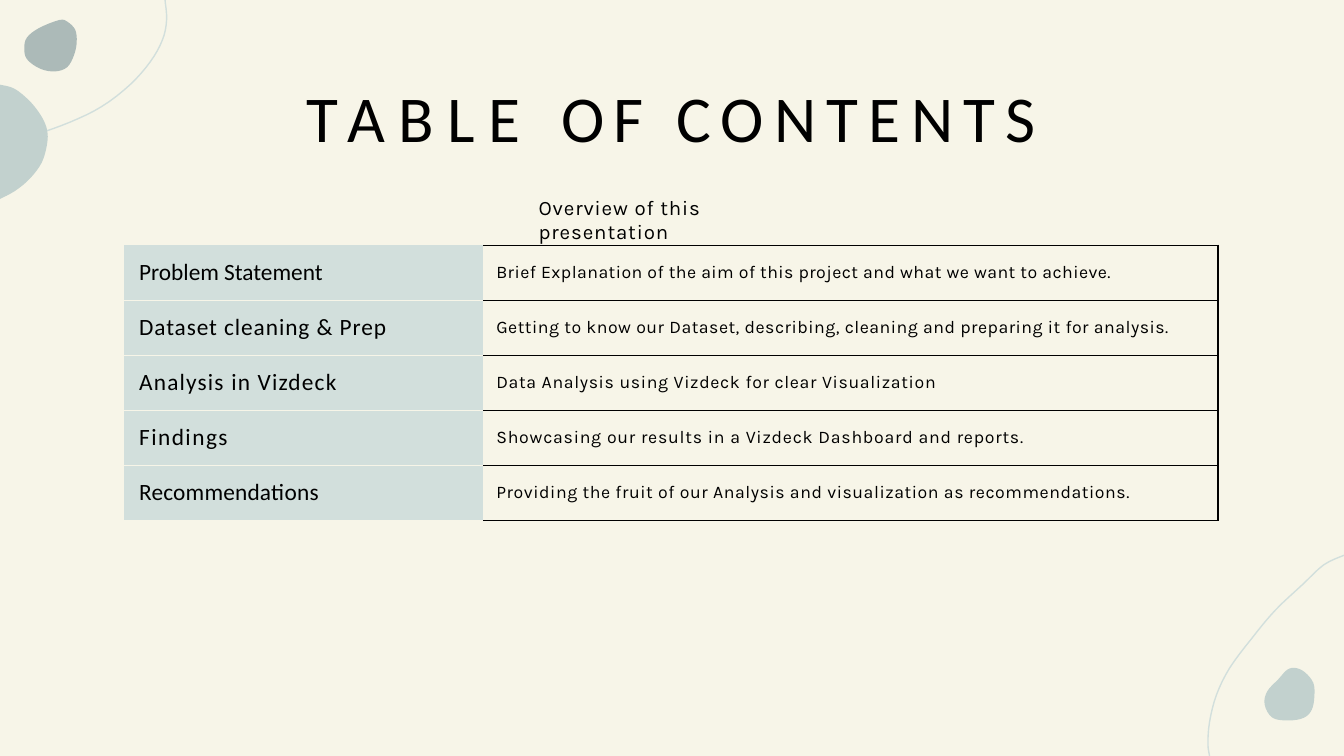
from dataclasses import dataclass

from lxml import etree
from pptx import Presentation
from pptx import util as u
from pptx.dml.color import RGBColor
from pptx.enum import text
from pptx.oxml import ns

CREAM = RGBColor(0xF7, 0xF5, 0xE8)
PALE_SAGE = RGBColor(0xD2, 0xDF, 0xDC)
SAGE = RGBColor(0xC2, 0xD1, 0xCE)
GREY_SAGE = RGBColor(0xAC, 0xBA, 0xB8)
BLACK = RGBColor(0, 0, 0)
HEADING_FONT = "Calibri"
BODY_FONT = "Karla"
NO_STYLE = "{2D5ABB26-0587-4C30-8999-92F81FD0307C}"
CURVE_STEPS = 4

Point = tuple[float, float]


@dataclass
class Blob:
    """A filled outline; a loop is smooth all round, otherwise it closes straight."""
    color: RGBColor
    loop: bool
    points: list[Point]


@dataclass
class Section:
    name: str
    name_spacing: float
    summary: str
    summary_spacing: float


# Decoration, in centimetres
SWEEPS: list[list[Point]] = [
    [(25.4, 10.49), (25.02, 10.67), (24.61, 11.05), (24.1, 11.53), (23.65, 12.07),
     (23.24, 12.62), (22.99, 13.13), (22.86, 13.64), (22.83, 14.05), (22.86, 14.28)],
    [(0, 2.67), (0.66, 2.54), (1.32, 2.31), (1.93, 2.01), (2.46, 1.6),
     (2.84, 1.17), (3.07, 0.76), (3.15, 0.38), (3.12, 0)],
]
BLOBS = [
    Blob(SAGE, True, [
        (24.49, 12.62), (24.33, 12.65), (24.16, 12.83), (23.95, 13.06),
        (23.9, 13.31), (24.05, 13.56), (24.36, 13.61), (24.64, 13.56),
        (24.79, 13.41), (24.84, 13.16), (24.82, 12.9), (24.66, 12.7)]),
    Blob(GREY_SAGE, True, [
        (1.12, 0.38), (0.74, 0.53), (0.51, 0.71), (0.46, 0.91),
        (0.51, 1.12), (0.76, 1.3), (1.04, 1.35), (1.27, 1.27),
        (1.4, 1.04), (1.45, 0.79), (1.42, 0.56), (1.27, 0.41)]),
    Blob(SAGE, False, [
        (0, 1.6), (0.28, 1.68), (0.58, 1.93), (0.79, 2.21), (0.89, 2.46),
        (0.89, 2.72), (0.79, 3.07), (0.56, 3.38), (0.28, 3.61), (0, 3.76)]),
]

# Wording
TITLE_RUNS = [("TABLE ", 7.2), ("OF ", 4.7), ("CONTENTS", 5.5)]
SECTIONS = [
    Section("Problem Statement", 0,
            "Brief Explanation of the aim of this project and what we want to achieve.", 0.25),
    Section("Dataset cleaning & Prep", 0.5,
            "Getting to know our Dataset, describing, cleaning and preparing it for analysis.", 0.27),
    Section("Analysis in Vizdeck", 0.65,
            "Data Analysis using Vizdeck for clear Visualization", 0.38),
    Section("Findings", 0.8,
            "Showcasing our results in a Vizdeck Dashboard and reports.", 0.42),
    Section("Recommendations", 0.1,
            "Providing the fruit of our Analysis and visualization as recommendations.", 0.32),
]


def smooth(points: list[Point], loop: bool) -> list[Point]:
    """Sample a Catmull-Rom curve through the points."""
    if loop:
        padded = [points[-1], *points, points[0], points[1]]
    else:
        padded = [points[0], *points, points[-1]]
    curve = [points[0]]
    for a, b, c, d in zip(padded, padded[1:], padded[2:], padded[3:]):
        for step in range(1, CURVE_STEPS + 1):
            t = step / CURVE_STEPS
            x, y = (
                0.5 * (2 * q + (r - p) * t + (2 * p - 5 * q + 4 * r - s) * t ** 2
                       + (3 * q - p - 3 * r + s) * t ** 3)
                for p, q, r, s in zip(a, b, c, d))
            curve.append((x, y))
    return curve


def draw_curve(slide, points: list[Point], loop: bool, close: bool):
    curve = [(u.Cm(x), u.Cm(y)) for x, y in smooth(points, loop)]
    builder = slide.shapes.build_freeform(*curve[0])
    builder.add_line_segments(curve[1:], close=close)
    shape = builder.convert_to_shape()
    shape.shadow.inherit = False
    return shape


def draw_sweep(slide, points: list[Point]) -> None:
    shape = draw_curve(slide, points, loop=False, close=False)
    shape.fill.background()
    shape.line.color.rgb = PALE_SAGE
    shape.line.width = u.Pt(0.75)


def draw_blob(slide, blob: Blob) -> None:
    shape = draw_curve(slide, blob.points, blob.loop, close=True)
    shape.fill.solid()
    shape.fill.fore_color.rgb = blob.color
    shape.line.fill.background()


def format_run(run, font: str, size: float, spacing: float) -> None:
    run.font.name = font
    run.font.size = u.Pt(size)
    run.font.color.rgb = BLACK
    run.font._element.set("spc", str(round(spacing * 100)))


def prepare_frame(frame) -> None:
    frame.word_wrap = True
    frame.auto_size = text.MSO_AUTO_SIZE.NONE
    frame.vertical_anchor = text.MSO_ANCHOR.TOP
    frame.margin_left = frame.margin_right = frame.margin_bottom = 0
    frame.margin_top = u.Cm(0.05)


def add_border(cell, side: str, color: RGBColor) -> None:
    line = etree.SubElement(cell._tc.get_or_add_tcPr(), ns.qn(f"a:ln{side}"), w=str(u.Pt(0.75)))
    fill = etree.SubElement(line, ns.qn("a:solidFill"))
    etree.SubElement(fill, ns.qn("a:srgbClr"), val=str(color))


def fill_cell(cell, words: str, font: str, size: float, spacing: float, indent: float,
              color: RGBColor, borders: str, border_color: RGBColor) -> None:
    for side in borders:
        add_border(cell, side, border_color)
    cell.fill.solid()
    cell.fill.fore_color.rgb = color
    cell.margin_left = u.Cm(indent)
    cell.margin_right = cell.margin_top = cell.margin_bottom = 0
    cell.vertical_anchor = text.MSO_ANCHOR.MIDDLE
    cell.text_frame.text = words
    format_run(cell.text_frame.paragraphs[0].runs[0], font, size, spacing)


def add_title(slide) -> None:
    title = slide.shapes.title
    title.left, title.top, title.width, title.height = (
        u.Cm(5.8), u.Cm(1.4), u.Cm(13.84), u.Cm(1.57))
    prepare_frame(title.text_frame)
    paragraph = title.text_frame.paragraphs[0]
    paragraph.alignment = text.PP_ALIGN.LEFT
    paragraph.space_before = u.Pt(1.3)
    for words, spacing in TITLE_RUNS:
        run = paragraph.add_run()
        run.text = words
        format_run(run, HEADING_FONT, 35, spacing)


def add_contents(slide) -> None:
    frame = slide.shapes.add_table(
        len(SECTIONS), 2, u.Cm(2.35), u.Cm(4.63), u.Cm(20.67), u.Cm(1.04 * len(SECTIONS)))
    table = frame.table
    table.first_row = table.horz_banding = False
    table._tbl.tblPr.find(ns.qn("a:tableStyleId")).text = NO_STYLE
    table.columns[0].width, table.columns[1].width = u.Cm(6.78), u.Cm(13.89)
    for row, section in enumerate(SECTIONS):
        fill_cell(table.cell(row, 0), section.name, HEADING_FONT, 12.5, section.name_spacing,
                  0.28, PALE_SAGE, "TB" if row else "B", CREAM)
        fill_cell(table.cell(row, 1), section.summary, BODY_FONT, 9.5, section.summary_spacing,
                  0.25, CREAM, "RTB", BLACK)


def add_overview(slide) -> None:
    box = slide.shapes.add_textbox(u.Cm(10.18), u.Cm(3.63), u.Cm(5.3), u.Cm(0.5))
    prepare_frame(box.text_frame)
    box.text_frame.text = "Overview of this presentation"
    paragraph = box.text_frame.paragraphs[0]
    paragraph.space_before = u.Pt(1.2)
    format_run(paragraph.runs[0], BODY_FONT, 11, 0.45)


def main() -> None:
    presentation = Presentation()
    presentation.slide_width, presentation.slide_height = u.Cm(25.4), u.Cm(14.28)
    slide = presentation.slides.add_slide(presentation.slide_layouts[5])
    slide.background.fill.solid()
    slide.background.fill.fore_color.rgb = CREAM

    for sweep in SWEEPS:
        draw_sweep(slide, sweep)
    for blob in BLOBS:
        draw_blob(slide, blob)
    add_title(slide)
    add_contents(slide)
    add_overview(slide)
    presentation.save("out.pptx")


if __name__ == "__main__":
    main()
